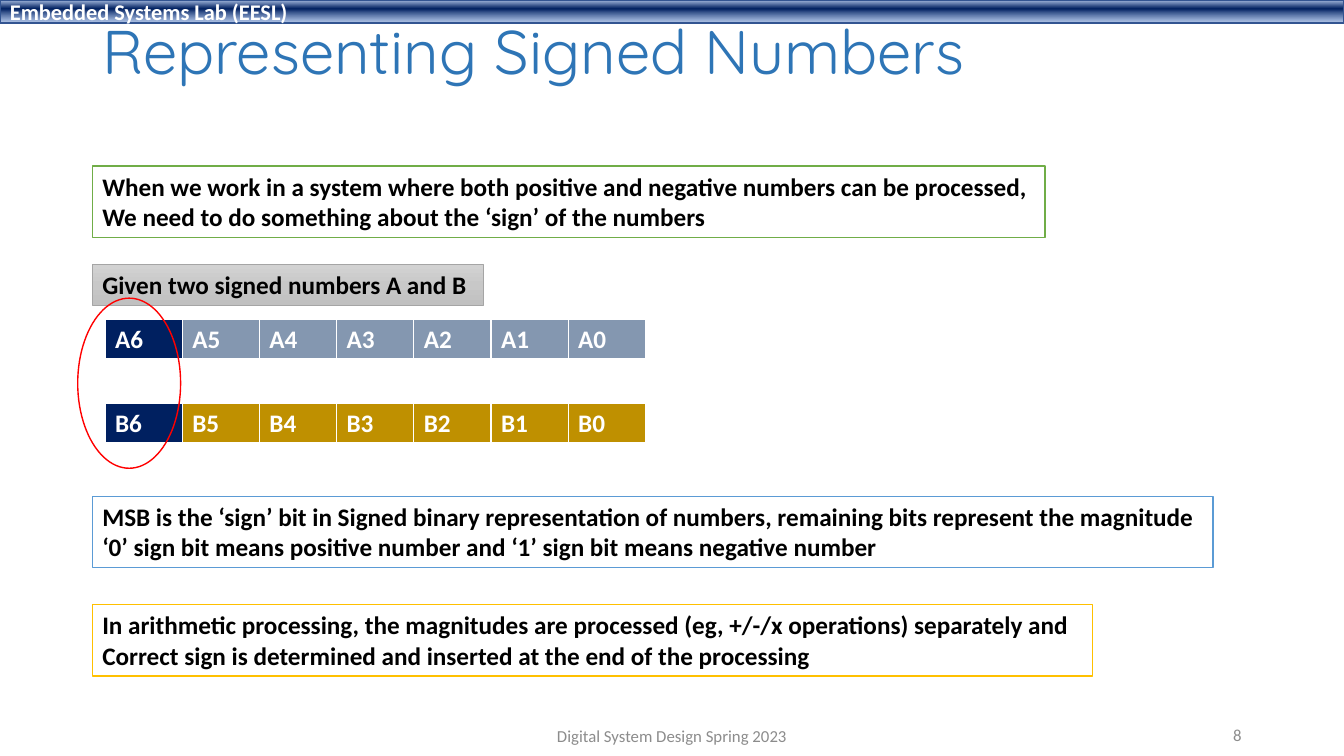
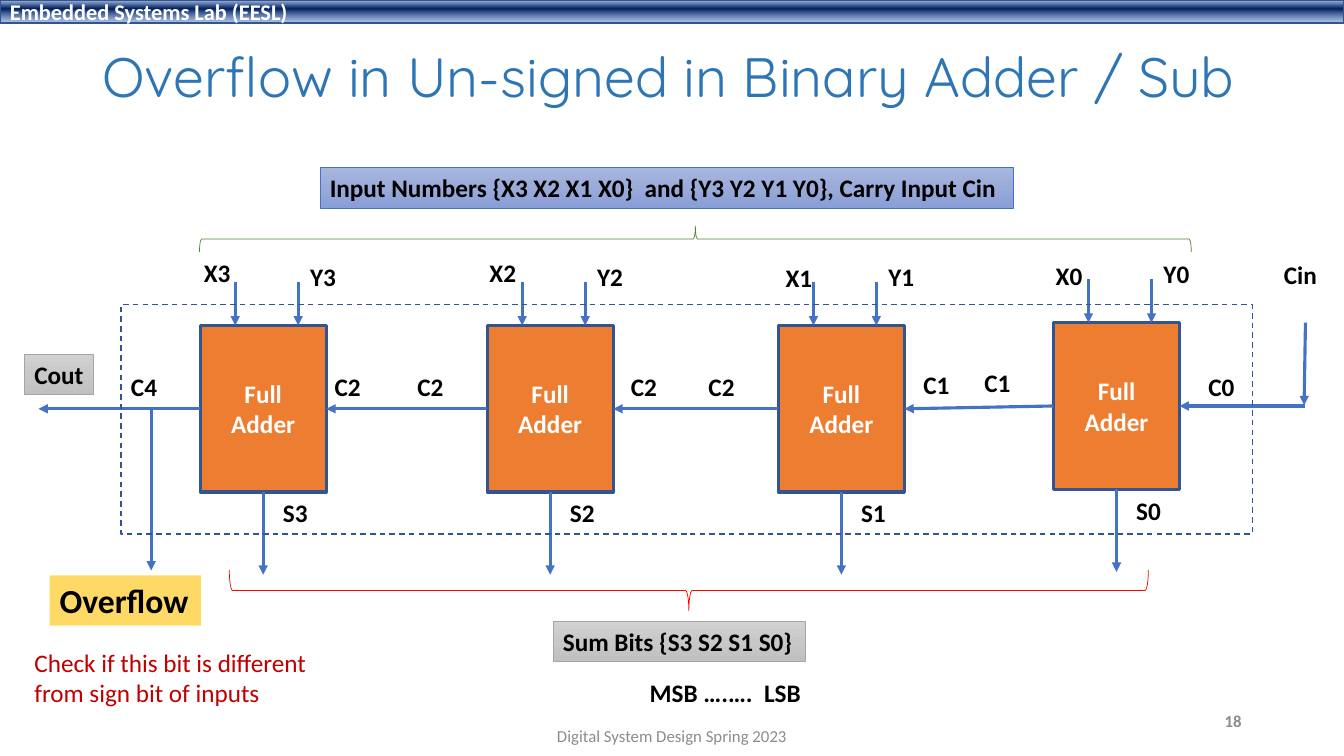
from dataclasses import dataclass

from lxml import etree
from pptx import Presentation
from pptx.dml.color import RGBColor
from pptx.enum.dml import MSO_LINE
from pptx.enum.shapes import MSO_CONNECTOR, MSO_SHAPE
from pptx.enum.text import MSO_ANCHOR, MSO_AUTO_SIZE, PP_ALIGN
from pptx.oxml.ns import qn
from pptx.util import Pt

RECTANGLE, OVAL, BRACE = MSO_SHAPE.RECTANGLE, MSO_SHAPE.OVAL, MSO_SHAPE.RIGHT_BRACE
STRAIGHT, DASH = MSO_CONNECTOR.STRAIGHT, MSO_LINE.DASH
LEFT, CENTER, RIGHT = PP_ALIGN.LEFT, PP_ALIGN.CENTER, PP_ALIGN.RIGHT
TOP, MIDDLE = MSO_ANCHOR.TOP, MSO_ANCHOR.MIDDLE
FIT, NO_FIT = MSO_AUTO_SIZE.SHAPE_TO_FIT_TEXT, MSO_AUTO_SIZE.NONE
LEFT_SIDE, BOTTOM_SIDE, RIGHT_SIDE = 1, 2, 3


@dataclass(frozen=True)
class Theme:
    body_font: str = "Calibri"
    title_font: str = "Quicksand"
    title_size: float = 44
    small_title_size: float = 39.6
    callout_size: float = 24
    body_size: float = 18
    band_size: float = 16
    footer_size: float = 12
    black: str = "000000"
    white: str = "FFFFFF"
    title: str = "2E75B6"
    footer: str = "8C8C8C"
    navy: str = "002060"
    outline: str = "325491"
    wire: str = "4472C4"
    adder: str = "ED7D31"
    slate: str = "8497B0"
    ochre: str = "BF9000"
    green: str = "70AD47"
    dark_green: str = "548235"
    blue: str = "5B9BD5"
    gold: str = "FFC000"
    pale_gold: str = "FFD966"
    red: str = "FF0000"
    dark_red: str = "C00000"
    gray_edge: str = "A5A5A5"
    # Gradient stops: position, colour, opacity (percent)
    band_fill: tuple = ((2, "ABC0E4", 100), (38, "002060", 100), (93, "7E9ED6", 64))
    gray_fill: tuple = ((0, "D2D2D2", 100), (50, "C8C8C8", 100), (100, "C0C0C0", 100))
    blue_fill: tuple = ((0, "A8B7DF", 100), (50, "9AABD9", 100), (100, "889ED7", 100))


THEME = Theme()


def rgb(color):
    return RGBColor.from_string(color)


def pts(values):
    return [Pt(value) for value in values]


def paint(shape, fill=None, line=None, width=1):
    """Fill with a colour, gradient stops or nothing, and set the outline."""
    if fill is None:
        shape.fill.background()
    elif isinstance(fill, str):
        shape.fill.solid()
        shape.fill.fore_color.rgb = rgb(fill)
    else:
        shape.fill.gradient()
        shape.fill.gradient_angle = 270
        stops = shape._element.spPr.find(qn("a:gradFill")).find(qn("a:gsLst"))
        for old_stop in list(stops):
            stops.remove(old_stop)
        for position, color, opacity in fill:
            stop = etree.SubElement(stops, qn("a:gs"), pos=str(position * 1000))
            tone = etree.SubElement(stop, qn("a:srgbClr"), val=color)
            if opacity < 100:
                etree.SubElement(tone, qn("a:alpha"), val=str(opacity * 1000))
    if line is None:
        shape.line.fill.background()
    else:
        shape.line.color.rgb = rgb(line)
        shape.line.width = Pt(width)


def write(frame, lines, size=THEME.body_size, color=THEME.black, bold=True,
          font=THEME.body_font, align=LEFT, anchor=TOP, spacing=None):
    """Write one paragraph for each line."""
    frame.vertical_anchor = anchor
    for index, line in enumerate(lines):
        paragraph = frame.add_paragraph() if index else frame.paragraphs[0]
        paragraph.alignment = align
        if spacing:
            paragraph.line_spacing = spacing
        run = paragraph.add_run()
        run.text = line
        run.font.name = font
        run.font.size = Pt(size)
        run.font.bold = bold
        run.font.color.rgb = rgb(color)


def add_outline(slide, kind, box, fill=None, line=None, width=1):
    shape = slide.shapes.add_shape(kind, *pts(box))
    shape.shadow.inherit = False
    paint(shape, fill, line, width)
    return shape


def add_note(slide, box, lines, fill=None, line=None, width=1, **style):
    """Text that fits its box, on an optional panel."""
    note = slide.shapes.add_textbox(*pts(box))
    paint(note, fill, line, width)
    note.text_frame.word_wrap = False
    note.text_frame.auto_size = FIT
    write(note.text_frame, lines, **style)


def add_caption(slide, box, text, **style):
    """Wrapped single-line text, centred vertically in its box."""
    frame = slide.shapes.add_textbox(*pts(box)).text_frame
    frame.word_wrap = True
    frame.auto_size = NO_FIT
    write(frame, [text], anchor=MIDDLE, **style)


def add_label(slide, x, y, text, width=33):
    add_note(slide, (x, y, width, 29), [text])


def add_arrow(slide, start, end, source=None, target=None):
    """Arrow between points; source and target are (shape, side) joints."""
    arrow = slide.shapes.add_connector(STRAIGHT, *pts((*start, *end)))
    if source:
        arrow.begin_connect(*source)
    if target:
        arrow.end_connect(*target)
    arrow.line.color.rgb = rgb(THEME.wire)
    arrow.line.width = Pt(2.25)
    etree.SubElement(arrow.line._get_or_add_ln(), qn("a:tailEnd"), type="triangle")
    etree.SubElement(arrow._element.spPr, qn("a:effectLst"))


def add_brace(slide, box, rotation, color):
    brace = add_outline(slide, BRACE, box, line=color, width=0.5)
    brace.rotation = rotation


def add_bit_row(slide, top, letter, color, bits=7):
    """One-row table of bits with the sign bit first."""
    cell_width, row_height = 55.14, 28.8
    table = slide.shapes.add_table(
        1, bits, *pts((75, top, cell_width * bits, row_height))).table
    table.first_row = table.horz_banding = False
    for column in range(bits):
        table.columns[column].width = Pt(cell_width)
        cell = table.cell(0, column)
        for edge, width in (("L", 1), ("R", 1), ("T", 1), ("B", 3)):
            border = etree.SubElement(cell._tc.get_or_add_tcPr(), qn("a:ln" + edge),
                                      w=str(Pt(width)))
            border_fill = etree.SubElement(border, qn("a:solidFill"))
            etree.SubElement(border_fill, qn("a:srgbClr"), val=THEME.white)
        cell.fill.solid()
        cell.fill.fore_color.rgb = rgb(color if column else THEME.navy)
        write(cell.text_frame, [f"{letter}{bits - 1 - column}"], color=THEME.white)


def add_full_adder(slide, x, y):
    adder = add_outline(slide, RECTANGLE, (x, y, 90, 119), THEME.adder,
                        THEME.outline, 2.25)
    write(adder.text_frame, ["Full", "Adder"], color=THEME.white,
          align=CENTER, anchor=MIDDLE)
    return adder


def start_slide(deck, title, title_box, title_size, number, number_top,
                number_bold=False):
    """Blank slide with the shared band, title and footer."""
    slide = deck.slides.add_slide(deck.slide_layouts[6])
    band = add_outline(slide, RECTANGLE, (0, 0, 960, 16.5), THEME.band_fill,
                       THEME.outline)
    write(band.text_frame, ["Embedded Systems Lab (EESL)"], THEME.band_size,
          THEME.white, anchor=MIDDLE)
    add_caption(slide, title_box, title, size=title_size, color=THEME.title,
                bold=False, font=THEME.title_font, spacing=0.9)
    footer = {"size": THEME.footer_size, "color": THEME.footer}
    add_caption(slide, (318, 511, 324, 29), "Digital System Design Spring 2023",
                bold=False, align=CENTER, **footer)
    add_caption(slide, (678, number_top, 216, 29), number,
                bold=number_bold, align=RIGHT, **footer)
    return slide


def build_signed_numbers(deck):
    slide = start_slide(deck, "Representing Signed Numbers", (66, 11, 828, 55.5),
                        THEME.title_size, "8", 510.5)

    # Statements in outlined panels
    statements = (
        (118.5, 680.5, THEME.green,
         ["When we work in a system where both positive and negative numbers can be processed,",
          "We need to do something about the ‘sign’ of the numbers"]),
        (354.5, 800.5, THEME.blue,
         ["MSB is the ‘sign’ bit in Signed binary representation of numbers, remaining bits represent the magnitude",
          "‘0’ sign bit means positive number and ‘1’ sign bit means negative number"]),
        (432, 714.5, THEME.gold,
         ["In arithmetic processing, the magnitudes are processed (eg, +/-/x operations) separately and",
          "Correct sign is determined and inserted at the end of the processing"]),
    )
    for top, width, edge, lines in statements:
        add_note(slide, (66, top, width, 51), lines, THEME.white, edge)

    # Bits of the two numbers, sign bits circled
    add_note(slide, (66, 189, 279.5, 29), ["Given two signed numbers A and B"],
             THEME.gray_fill, THEME.gray_edge, 0.5)
    add_bit_row(slide, 228.2, "A", THEME.slate)
    add_bit_row(slide, 288.4, "B", THEME.ochre)
    add_outline(slide, OVAL, (55.5, 213, 73.5, 121.5), line=THEME.red)


def build_adder_overflow(deck):
    slide = start_slide(deck, "Overflow in Un-signed in Binary Adder / Sub",
                        (66, 29, 865.5, 55.5), THEME.small_title_size,
                        "18", 500.5, number_bold=True)

    # Adders from most to least significant: left, top, offset of the X label
    stages = ((143, 232.5, -4.5, -52), (348, 232.5, -5.5, -52),
              (556, 232.5, -2, -49), (752.5, 230.5, -5.5, -48))
    adders = []
    for bit, (x, y, label_dx, label_dy) in zip((3, 2, 1, 0), stages):
        adder = add_full_adder(slide, x, y)
        for input_x in (x + 25, x + 70):
            add_arrow(slide, (input_x, y - 31), (input_x, y))
        add_arrow(slide, (x + 45, y + 119), (x + 45, y + 178),
                  source=(adder, BOTTOM_SIDE))
        add_label(slide, x + label_dx, y + label_dy, f"X{bit}", 34)
        add_label(slide, x + 71.5, y - 49.5, f"Y{bit}")
        add_label(slide, x + 52, y + 119.5, f"S{bit}")
        adders.append(adder)

    # Carry chain from Cin to Cout
    for higher, lower in zip(adders, adders[1:]):
        add_arrow(slide, (0, 0), (0, 0), (lower, LEFT_SIDE), (higher, RIGHT_SIDE))
    add_arrow(slide, (143, 292), (27.5, 292), source=(adders[0], LEFT_SIDE))
    add_arrow(slide, (932.5, 230.5), (931.5, 289.5))
    add_arrow(slide, (932.5, 290), (842.5, 290), target=(adders[-1], RIGHT_SIDE))
    add_arrow(slide, (108, 291), (108, 407.5))
    carries = ((86.5, 262, "C4"), (232, 261.5, "C2"), (291, 261.5, "C2"),
               (443.5, 262, "C2"), (499, 261.5, "C2"), (652.5, 260, "C1"),
               (696, 259, "C1"), (856, 262, "C0"))
    for x, y, text in carries:
        add_label(slide, x, y, text)
    add_label(slide, 910, 181.5, "Cin", 38)
    add_note(slide, (17.5, 253, 49.5, 29), ["Cout"], THEME.gray_fill,
             THEME.gray_edge, 0.5)

    # Boundary of the whole adder
    boundary = add_outline(slide, RECTANGLE, (86.5, 217.5, 808, 164),
                           line=THEME.outline)
    boundary.line.dash_style = DASH

    # Input and sum groups
    add_brace(slide, (487.5, -183.5, 18.5, 708.5), 270, THEME.dark_green)
    add_note(slide, (228.5, 119.5, 495.5, 29),
             ["Input Numbers {X3 X2 X1 X0}  and {Y3 Y2 Y1 Y0}, Carry Input Cin"],
             THEME.blue_fill, THEME.wire, 0.5)
    add_brace(slide, (477.5, 93.5, 29, 656.5), 90, THEME.red)
    add_note(slide, (395, 443.5, 180.5, 29), ["Sum Bits {S3 S2 S1 S0}"],
             THEME.gray_fill, THEME.gray_edge, 0.5)
    add_label(slide, 457, 480.5, "MSB ….….  LSB", 124)

    # Overflow check
    add_note(slide, (35.5, 411, 108, 36), ["Overflow"], THEME.pale_gold,
             size=THEME.callout_size)
    add_note(slide, (17.5, 458.5, 211, 51),
             ["Check if this bit is different", "from sign bit of inputs"],
             color=THEME.dark_red, bold=False)


def main():
    deck = Presentation()
    deck.slide_width, deck.slide_height = Pt(960), Pt(540)
    build_signed_numbers(deck)
    build_adder_overflow(deck)
    deck.save("out.pptx")


if __name__ == "__main__":
    main()
